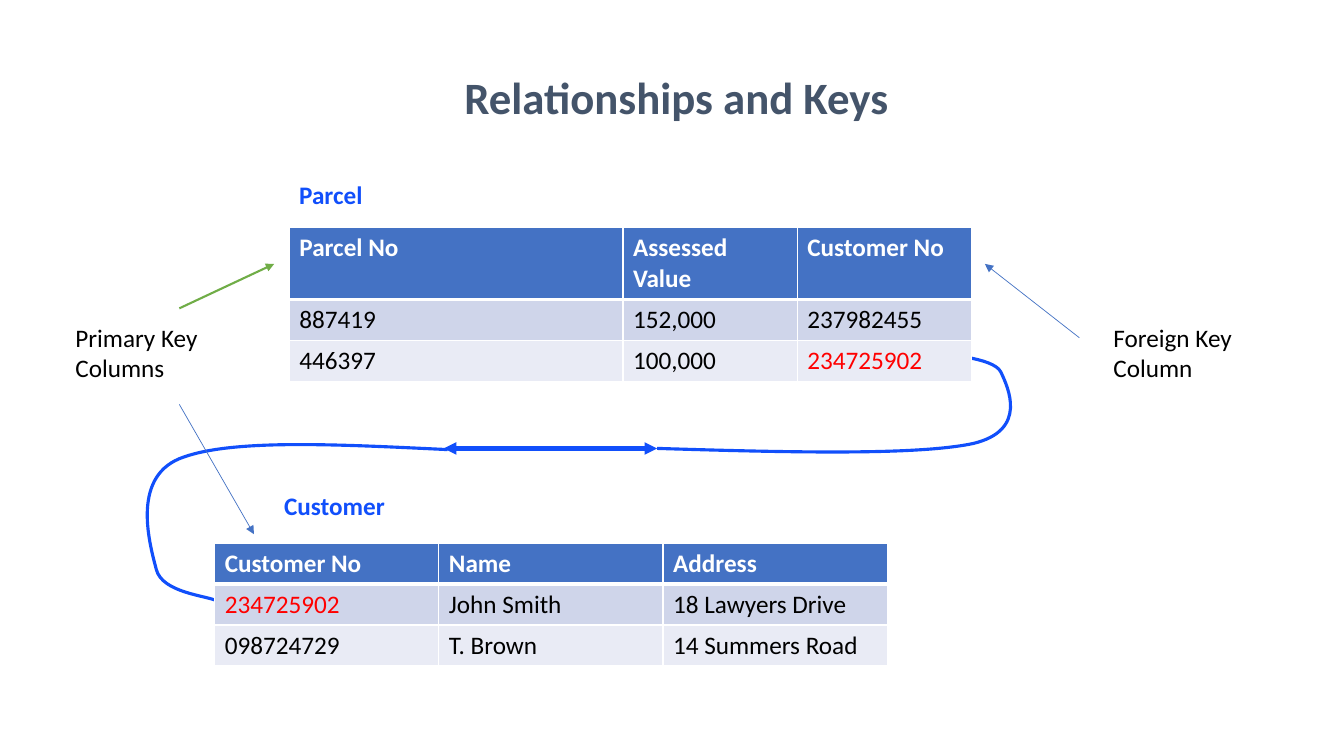
from lxml.etree import SubElement
from pptx import Presentation
from pptx.dml.color import RGBColor
from pptx.enum.shapes import MSO_CONNECTOR
from pptx.enum.text import MSO_ANCHOR, PP_ALIGN
from pptx.oxml import parse_xml
from pptx.oxml.ns import nsdecls, qn
from pptx.util import Cm, Pt

BLUE, RED, BLACK, WHITE = "114FFB", "FF0000", "000000", "FFFFFF"
HEADER, BANDS = "4472C4", ("CFD5EA", "E9EBF5")
SHARED_KEY = "234725902"


def color(value):
    return RGBColor.from_string(value)


def write(frame, text, tint, size=18, bold=False, align=PP_ALIGN.LEFT):
    para = frame.paragraphs[0]
    para.alignment = align
    span = para.add_run()
    span.text = text
    span.font.color.rgb = color(tint)
    for name, value in {"name": "Calibri", "size": Pt(size), "bold": bold}.items():
        setattr(span.font, name, value)


deck = Presentation()
deck.slide_width, deck.slide_height = Cm(33.87), Cm(19.05)
page = deck.slides.add_slide(deck.slide_layouts[6])
shapes = page.shapes

# Curves of the relationship: a start point, then three points per Bezier
curves = [
    [(11.28, 11.33), (8.51, 11.2), (5.77, 11.05), (4.52, 11.56), (3.3, 12.07),
     (3.78, 13.74), (3.94, 14.35), (4.09, 14.94), (5.21, 15.01), (5.46, 15.14)],
    [(16.56, 11.3), (19.81, 11.4), (23.06, 11.48), (24.51, 11.18), (25.93, 10.85),
     (25.4, 9.75), (25.22, 9.37), (25.02, 8.99), (23.72, 8.94), (23.42, 8.86)],
]
for points in curves:
    start, *rest = [(Cm(x), Cm(y)) for x, y in points]
    builder = shapes.build_freeform(*start)
    builder.add_line_segments(rest, close=False)
    curve = builder.convert_to_shape()
    curve.shadow.inherit = False
    curve.fill.background()
    curve.line.color.rgb = color(BLUE)
    curve.line.width = Pt(2.25)
    segments = list(curve.element.iter(qn("a:lnTo")))
    outline = segments[0].getparent()
    for first in range(0, len(segments), 3):
        bezier = SubElement(outline, qn("a:cubicBezTo"))
        for segment in segments[first:first + 3]:
            bezier.append(segment[0])
            outline.remove(segment)

# Tables: place, column widths, row heights, rows
tables = [
    ((5.41, 13.69), [5.65] * 3, [1.03] * 3,
     [["Customer No", "Name", "Address"],
      [SHARED_KEY, "John Smith", "18 Lawyers Drive"],
      ["098724729", "T. Brown", "14 Summers Road"]]),
    ((7.29, 5.74), [8.41, 4.39, 4.39], [1.75, 1.03, 1.03],
     [["Parcel No", "Assessed Value", "Customer No"],
      ["887419", "152,000", "237982455"],
      ["446397", "100,000", SHARED_KEY]]),
]
for (left, top), widths, heights, rows in tables:
    table = shapes.add_table(len(rows), len(widths), Cm(left), Cm(top),
                             Cm(sum(widths)), Cm(sum(heights))).table
    for column, width in zip(table.columns, widths):
        column.width = Cm(width)
    for row, height in zip(table.rows, heights):
        row.height = Cm(height)
    for r, row in enumerate(rows):
        for c, text in enumerate(row):
            cell = table.cell(r, c)
            cell.fill.solid()
            cell.fill.fore_color.rgb = color(BANDS[(r - 1) % 2] if r else HEADER)
            tint = WHITE if r == 0 else RED if text == SHARED_KEY else BLACK
            write(cell.text_frame, text, tint, bold=r == 0)
            borders = {"L": 1, "R": 1, "T": 3 if r == 1 else 1, "B": 3 if r == 0 else 1}
            for place, (side, width) in enumerate(borders.items()):
                cell._tc.get_or_add_tcPr().insert(place, parse_xml(
                    f'<a:ln{side} {nsdecls("a")} w="{Pt(width)}"><a:solidFill>'
                    f'<a:srgbClr val="{WHITE}"/></a:solidFill></a:ln{side}>'))

# Title, table names and notes
middle = MSO_ANCHOR.MIDDLE
texts = [
    ("Relationships and Keys", (5.72, 0.84, 22.66, 3.18), middle, True,
     {"tint": "44546A", "size": 32, "bold": True, "align": PP_ALIGN.CENTER}),
    ("Customer", (6.91, 12.22, 3.07, 1.02), middle, False, {"tint": BLUE, "bold": True}),
    ("Parcel", (7.29, 4.39, 2.11, 1.02), middle, False, {"tint": BLUE, "bold": True}),
    ("Primary Key Columns", (1.65, 8, 4.39, 1.8), MSO_ANCHOR.TOP, True, {"tint": BLACK}),
    ("Foreign Key Column", (27.81, 8, 4.19, 1.8), MSO_ANCHOR.TOP, True, {"tint": BLACK}),
]
for text, place, anchor, wrap, style in texts:
    frame = shapes.add_textbox(*map(Cm, place)).text_frame
    frame.word_wrap, frame.vertical_anchor = wrap, anchor
    write(frame, text, **style)

# Arrows: ends, colour, width, arrowheads
arrows = [
    ((11.18, 11.3, 16.56, 11.3), BLUE, 3, ("headEnd", "tailEnd")),
    ((4.52, 7.77, 6.91, 6.65), "70AD47", 1.5, ("tailEnd",)),
    ((4.52, 10.19, 6.4, 13.46), HEADER, 0.5, ("tailEnd",)),
    ((27.2, 8.51, 24.82, 6.65), HEADER, 0.5, ("tailEnd",)),
]
for ends, tint, width, heads in arrows:
    arrow = shapes.add_connector(MSO_CONNECTOR.STRAIGHT, *map(Cm, ends))
    arrow.line.color.rgb = color(tint)
    arrow.line.width = Pt(width)
    for head in heads:
        SubElement(arrow.line._get_or_add_ln(), qn(f"a:{head}"), type="triangle")
    SubElement(arrow.element.spPr, qn("a:effectLst"))

deck.save("out.pptx")
